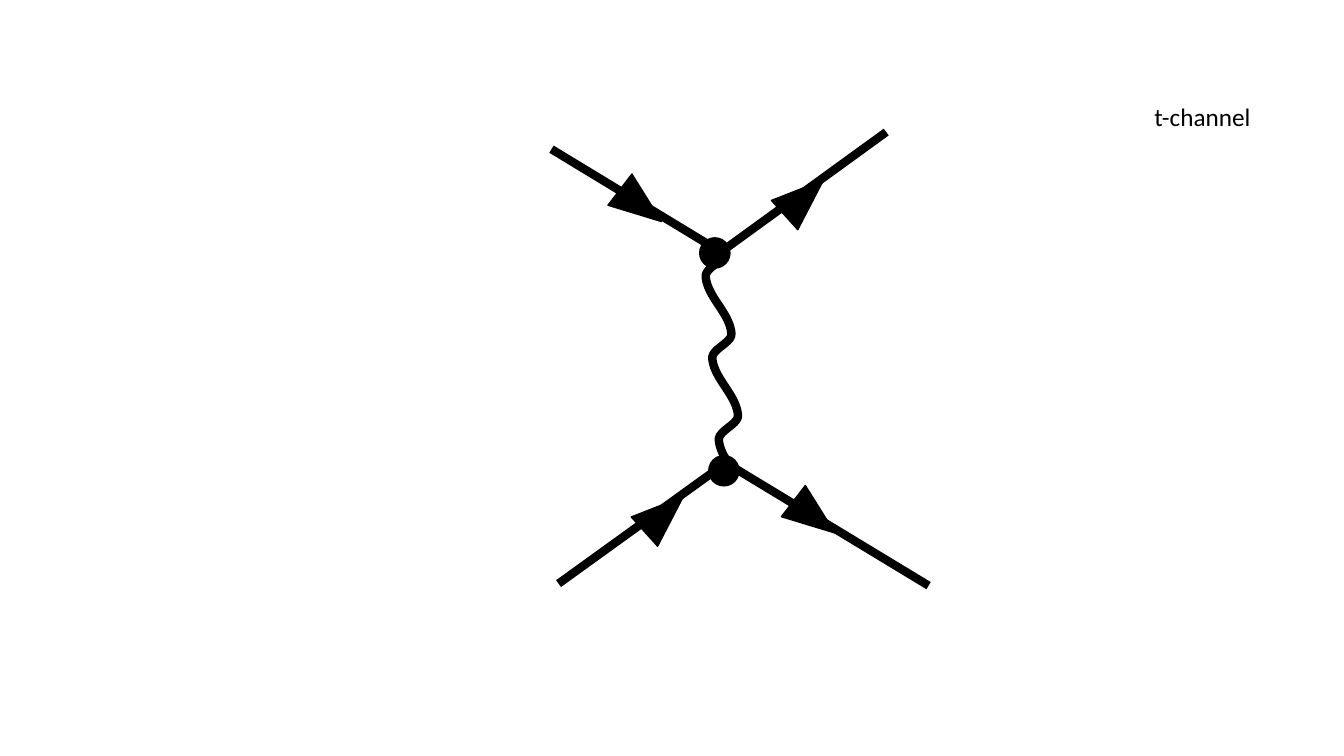
from math import cos, pi
from typing import NamedTuple

from lxml.etree import SubElement
from pptx import Presentation
from pptx.dml.color import RGBColor
from pptx.enum.shapes import MSO_CONNECTOR as Connector, MSO_SHAPE as Shape
from pptx.enum.text import MSO_AUTO_SIZE as AutoSize
from pptx.oxml.ns import qn
from pptx.util import Inches, Pt

COLORS = {"ink": "000000"}
STROKE, OUTLINE = 6, 1
VERTEX_SIZE = 0.3
ARROW_WIDTH, ARROW_HEIGHT = 0.39, 0.52
RISING, FALLING = 48, 127.5

PHOTON_LEFT, PHOTON_TOP, PHOTON_BOTTOM = 7.19, 2.5, 4.58
WAVE_LENGTH = 0.81
WAVE_SWING = 0.21
WAVE_DRIFT = 0.065
TROUGH_PHASE = 0.3
WAVE_STEPS = 80


class Particle(NamedTuple):
    begin: tuple
    end: tuple
    arrow: tuple

    @property
    def rotation(self):
        return RISING if self.end[1] < self.begin[1] else FALLING


PARTICLES = {
    "upper incoming": Particle((5.47, 1.48), (7.15, 2.5), (6.16, 1.78)),
    "upper outgoing": Particle((7.15, 2.5), (8.79, 1.31), (7.78, 1.7)),
    "lower incoming": Particle((5.54, 5.79), (7.23, 4.57), (6.39, 4.84)),
    "lower outgoing": Particle((7.18, 4.58), (9.21, 5.81), (7.88, 4.87)),
}
VERTICES = {"upper": (6.94, 2.36), "lower": (7.03, 4.52)}


def ink():
    return RGBColor.from_string(COLORS["ink"])


def style_line(line, width):
    line.color.rgb = ink()
    line.width = Pt(width)


def wave_depth(phase):
    if phase < TROUGH_PHASE:
        return (1 - cos(pi * phase / TROUGH_PHASE)) / 2
    return (1 + cos(pi * (phase - TROUGH_PHASE) / (1 - TROUGH_PHASE))) / 2


def wave_point(step):
    drop = (PHOTON_BOTTOM - PHOTON_TOP) * step / WAVE_STEPS
    waves = drop / WAVE_LENGTH
    x = PHOTON_LEFT + WAVE_DRIFT * waves - WAVE_SWING * wave_depth(waves % 1)
    return Inches(x), Inches(PHOTON_TOP + drop)


def add_photon(slide):
    start, *points = [wave_point(step) for step in range(WAVE_STEPS + 1)]
    builder = slide.shapes.build_freeform(*start)
    builder.add_line_segments(points, close=False)
    shape = builder.convert_to_shape()
    shape.shadow.inherit = False
    shape.fill.background()
    style_line(shape.line, STROKE)


def add_line(slide, begin, end):
    connector = slide.shapes.add_connector(
        Connector.STRAIGHT, *(Inches(value) for value in begin + end)
    )
    style_line(connector.line, STROKE)
    SubElement(connector._element.spPr, qn("a:effectLst"))


def add_solid(slide, kind, left, top, width, height, rotation=0):
    shape = slide.shapes.add_shape(
        kind, Inches(left), Inches(top), Inches(width), Inches(height)
    )
    shape.rotation = rotation
    shape.shadow.inherit = False
    shape.fill.solid()
    shape.fill.fore_color.rgb = ink()
    style_line(shape.line, OUTLINE)


def add_text(slide, text, left, top, width, height, size=18, font="Calibri"):
    box = slide.shapes.add_textbox(
        Inches(left), Inches(top), Inches(width), Inches(height)
    )
    frame = box.text_frame
    frame.word_wrap = False
    frame.auto_size = AutoSize.SHAPE_TO_FIT_TEXT
    run = frame.paragraphs[0].add_run()
    run.text = text
    run.font.size = Pt(size)
    run.font.name = font
    run.font.color.rgb = ink()


def main():
    presentation = Presentation()
    presentation.slide_width = Inches(13.33)
    presentation.slide_height = Inches(7.5)
    slide = presentation.slides.add_slide(presentation.slide_layouts[6])

    add_photon(slide)
    for particle in PARTICLES.values():
        add_line(slide, particle.begin, particle.end)
    for corner in VERTICES.values():
        add_solid(slide, Shape.OVAL, *corner, VERTEX_SIZE, VERTEX_SIZE)
    for particle in PARTICLES.values():
        add_solid(slide, Shape.ISOSCELES_TRIANGLE, *particle.arrow,
                  ARROW_WIDTH, ARROW_HEIGHT, rotation=particle.rotation)
    add_text(slide, "t-channel", 11.35, 0.96, 1.17, 0.71)

    presentation.save("out.pptx")


if __name__ == "__main__":
    main()
